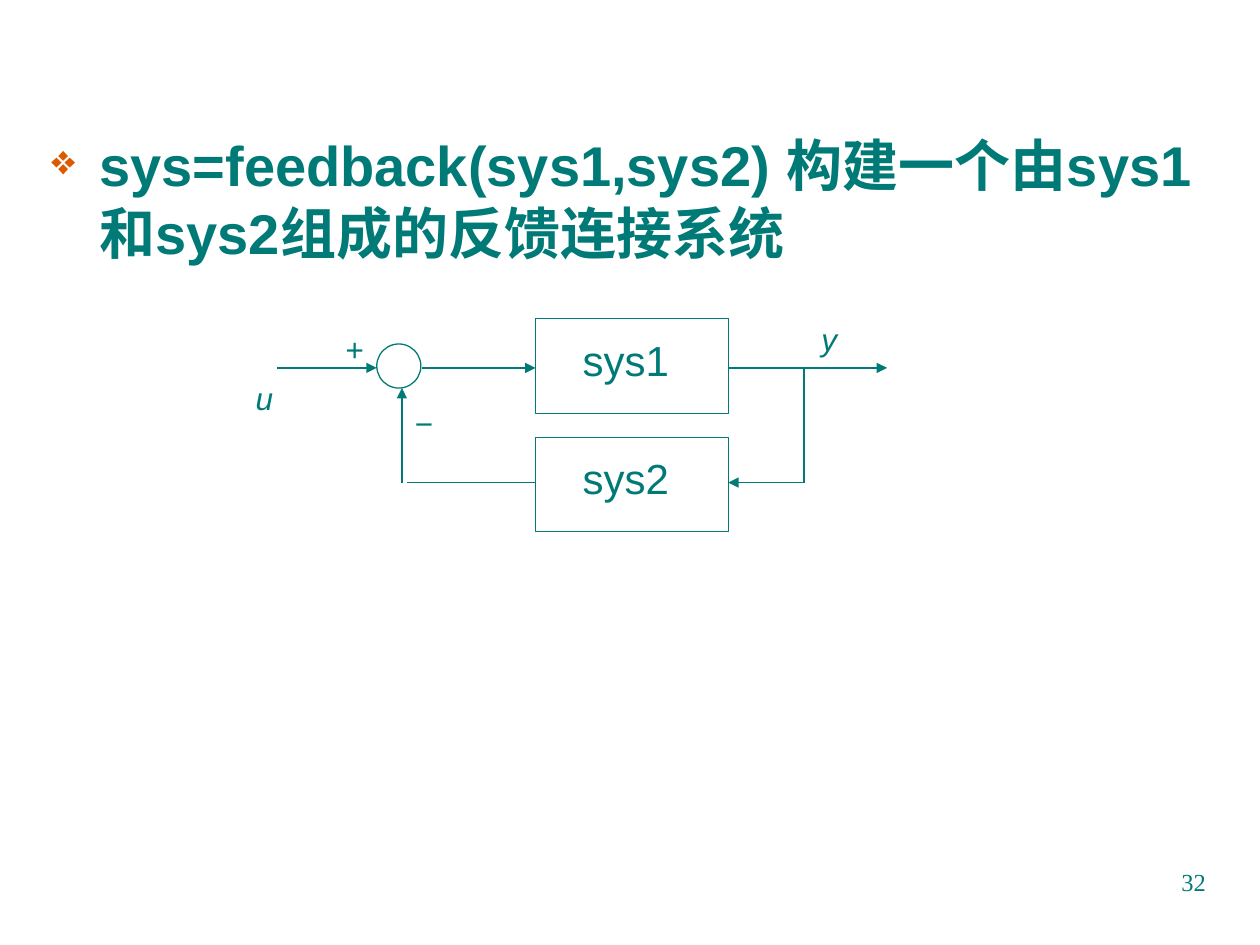
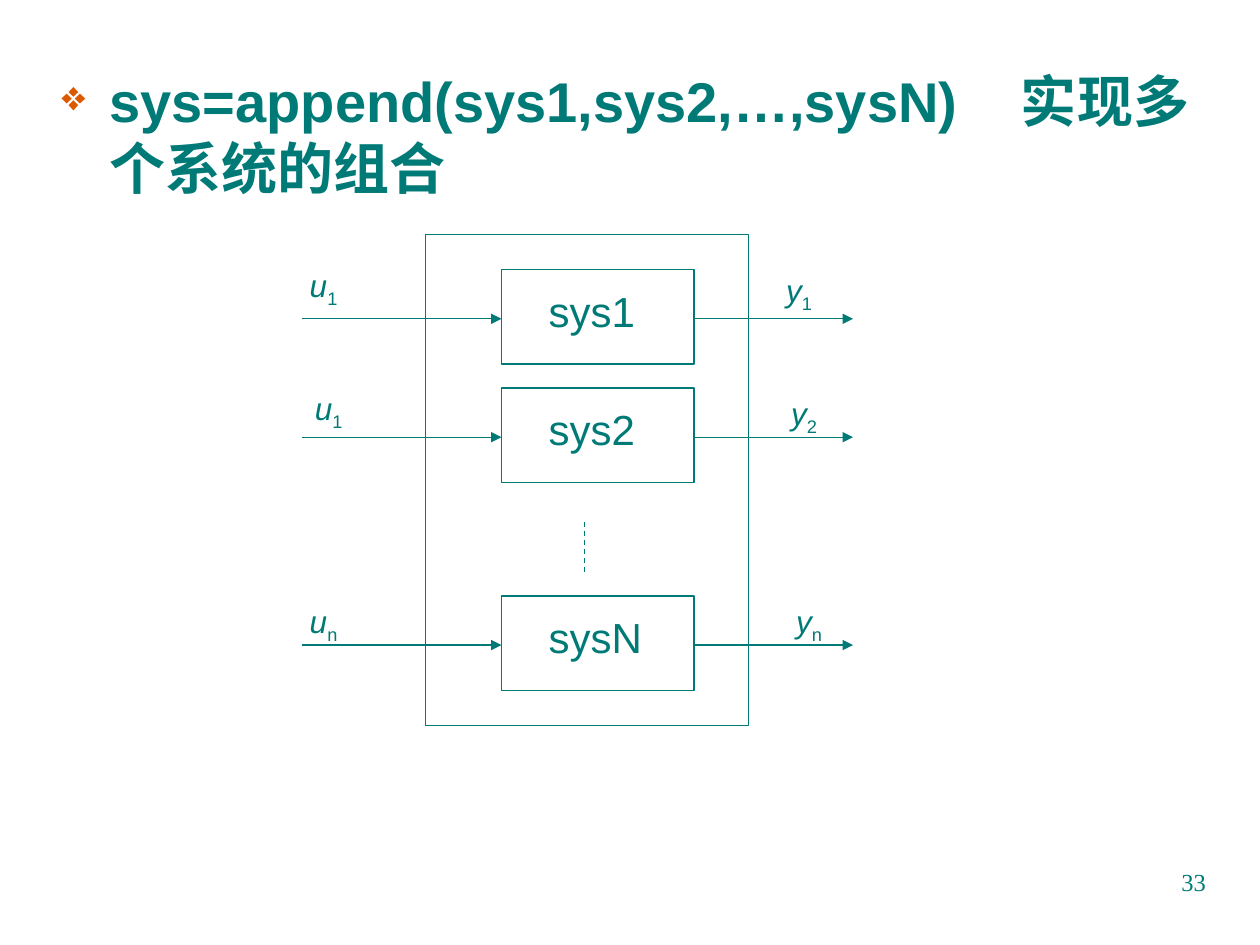
from dataclasses import dataclass

from lxml import etree
from pptx import Presentation
from pptx.dml.color import RGBColor
from pptx.enum.dml import MSO_LINE
from pptx.enum.shapes import MSO_CONNECTOR, MSO_SHAPE
from pptx.enum.text import PP_ALIGN
from pptx.oxml.ns import qn
from pptx.util import Inches, Pt

STRAIGHT = MSO_CONNECTOR.STRAIGHT
RECTANGLE, OVAL = MSO_SHAPE.RECTANGLE, MSO_SHAPE.OVAL
DASH = MSO_LINE.DASH
LEFT, RIGHT = PP_ALIGN.LEFT, PP_ALIGN.RIGHT

TEAL = RGBColor(0x00, 0x7A, 0x77)
ORANGE = RGBColor(0xDC, 0x59, 0x00)
SANS, SERIF = "Arial", "Times New Roman"

SLIDE_WIDTH, SLIDE_HEIGHT = Inches(10), Inches(7.5)
COLUMNS, ROWS = 100, 75
BLOCK_WIDTH, BLOCK_HEIGHT = 15.3, 7.5
PORT_ROW = 3.9
OUTPUT_LENGTH = 12.6
WIDE_GAP = 2670


@dataclass
class Box:
    left: float
    top: float
    width: float
    height: float

    def inner(self, column, row, width, height):
        return Box(self.left + column, self.top + row, width, height)

    def point(self, column, row):
        return self.left + column, self.top + row

    def emu(self):
        return (across(self.left), down(self.top),
                across(self.width), down(self.height))


def across(columns):
    return round(SLIDE_WIDTH * columns / COLUMNS)


def down(rows):
    return round(SLIDE_HEIGHT * rows / ROWS)


def add_text(page, box, text, size, name=SANS, bold=False, align=LEFT):
    frame = page.shapes.add_textbox(*box.emu()).text_frame
    frame.word_wrap = True
    para = frame.paragraphs[0]
    para.alignment = align
    if text:
        para.add_run().text = text
    font = para.font
    font.name, font.size, font.bold = name, Pt(size), bold
    font.color.rgb = TEAL
    return para


def add_outline(page, box, kind=RECTANGLE):
    shape = page.shapes.add_shape(kind, *box.emu())
    shape.shadow.inherit = False
    shape.fill.background()
    shape.line.color.rgb = TEAL
    shape.line.width = Pt(0.75)


def add_line(page, start, end, arrow=True, dash=None):
    line = page.shapes.add_connector(
        STRAIGHT, across(start[0]), down(start[1]), across(end[0]), down(end[1]))
    line.line.color.rgb = TEAL
    line.line.width = Pt(0.75)
    if dash:
        line.line.dash_style = dash
    if arrow:
        etree.SubElement(line.line._get_or_add_ln(), qn("a:tailEnd"), type="triangle")
    etree.SubElement(line._element.spPr, qn("a:effectLst"))


def add_signal(page, point, symbol, index=""):
    para = add_text(page, Box(*point, 5.1, 3.9), "", 18)
    span = para.add_run()
    span.text = symbol
    span.font.italic = True
    if index:
        span = para.add_run()
        span.text = index
        span._r.get_or_add_rPr().set("baseline", "-25000")


def add_block(page, box, label):
    add_outline(page, box)
    add_text(page, box.inner(2.75, 0.75, 10.2, 4.7), label, 24)


def add_heading(page, box, command, meaning, gap_spacing=0):
    frame = page.shapes.add_textbox(*box.emu()).text_frame
    frame.word_wrap = True
    para = frame.paragraphs[0]
    properties = para._p.get_or_add_pPr()
    properties.set("marL", str(Inches(0.38)))
    properties.set("indent", str(-Inches(0.38)))
    colour = etree.SubElement(properties, qn("a:buClr"))
    etree.SubElement(colour, qn("a:srgbClr"), val=str(ORANGE))
    etree.SubElement(properties, qn("a:buSzPct"), val="75000")
    etree.SubElement(properties, qn("a:buChar"), char="❖")
    for text in (command, " ", meaning):
        span = para.add_run()
        span.text = text
        if text == " " and gap_spacing:
            span._r.get_or_add_rPr().set("spc", str(gap_spacing))
    font = para.font
    font.name, font.size, font.bold = SANS, Pt(32), True
    font.color.rgb = TEAL


def add_page_number(page, number):
    add_text(page, Box(71.7, 68.3, 25, 5.2), str(number), 14, SERIF, align=RIGHT)


def draw_feedback_loop(page, box):
    forward = box.inner(23.2, 0.4, BLOCK_WIDTH, BLOCK_HEIGHT)
    backward = box.inner(23.2, 9.8, BLOCK_WIDTH, BLOCK_HEIGHT)
    add_block(page, forward, "sys1")
    add_block(page, backward, "sys2")
    add_outline(page, box.inner(10.6, 2.4, 3.5, 3.5), OVAL)

    forward_row, return_row = 0.4 + PORT_ROW, 13.4
    block_end, branch = 23.2 + BLOCK_WIDTH, 44.5
    paths = [
        ((2.7, forward_row), (10.6, forward_row), True),
        ((14.2, forward_row), (23.2, forward_row), True),
        ((block_end, forward_row), (block_end + OUTPUT_LENGTH, forward_row), True),
        ((branch, forward_row), (branch, return_row), False),
        ((branch, return_row), (block_end, return_row), True),
        ((23.2, return_row), (13, return_row), False),
        ((12.6, return_row), (12.6, 5.9), True),
    ]
    for start, end, arrow in paths:
        add_line(page, box.point(*start), box.point(*end), arrow)

    signals = [("u", 0, 4.7), ("+", 7.1, 0.8), ("y", 44.9, 0), ("−", 12.6, 6.7)]
    for symbol, column, row in signals:
        add_signal(page, box.point(column, row), symbol)


def draw_appended_systems(page, box):
    add_outline(page, box.inner(9.8, 0, 25.6, box.height))
    systems = [
        ("sys1", 2.8, ("1", -0.4, 2), ("1", 37.4, 2.4)),
        ("sys2", 12.2, ("1", 0, 11.8), ("2", 37.8, 12.2)),
        ("sysN", 28.7, ("n", -0.4, 28.7), ("n", 38.2, 28.7)),
    ]
    block_left = 15.8
    block_end = block_left + BLOCK_WIDTH
    for label, row, source, result in systems:
        add_block(page, box.inner(block_left, row, BLOCK_WIDTH, BLOCK_HEIGHT), label)
        port = row + PORT_ROW
        add_line(page, box.point(0, port), box.point(block_left, port))
        add_line(page, box.point(block_end, port),
                 box.point(block_end + OUTPUT_LENGTH, port))
        for symbol, (index, column, signal_row) in (("u", source), ("y", result)):
            add_signal(page, box.point(column, signal_row), symbol, index)
    add_line(page, box.point(22.4, 22.8), box.point(22.4, 26.8), False, DASH)


def build_feedback_slide(page):
    add_heading(page, Box(3.1, 9.9, 93.4, 45.9),
                "sys=feedback(sys1,sys2)", "构建一个由sys1和sys2组成的反馈连接系统")
    draw_feedback_loop(page, Box(19.3, 24.9, 51.2, 17.3))


def build_append_slide(page):
    add_heading(page, Box(3.9, 4.8, 93.4, 55.1),
                "sys=append(sys1,sys2,…,sysN)", "实现多个系统的组合", WIDE_GAP)
    draw_appended_systems(page, Box(24, 18.6, 43.7, 39))


def main():
    deck = Presentation()
    deck.slide_width, deck.slide_height = SLIDE_WIDTH, SLIDE_HEIGHT
    blank = deck.slide_layouts[6]
    for number, build in enumerate((build_feedback_slide, build_append_slide), 32):
        page = deck.slides.add_slide(blank)
        build(page)
        add_page_number(page, number)
    deck.save("out.pptx")


if __name__ == "__main__":
    main()
